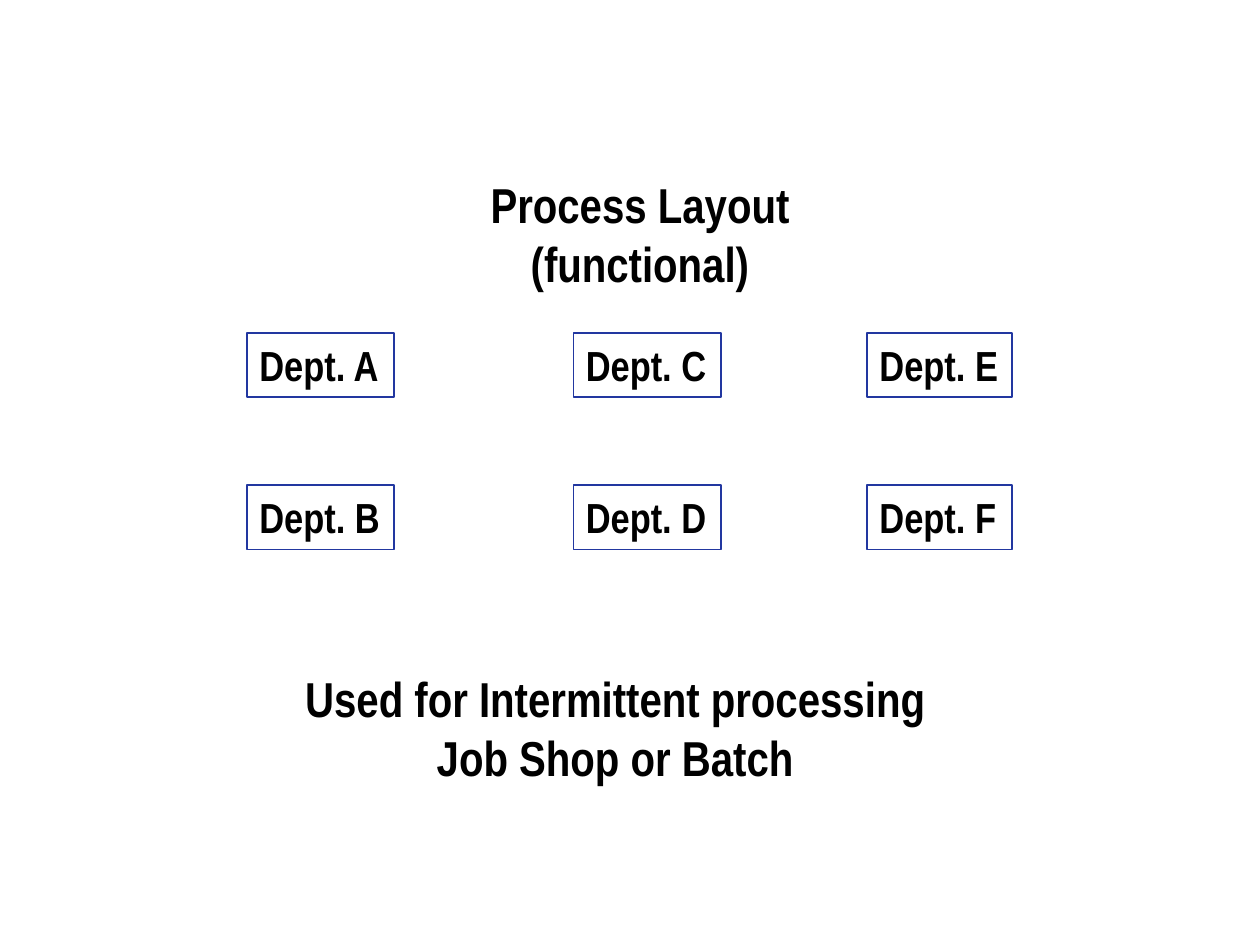
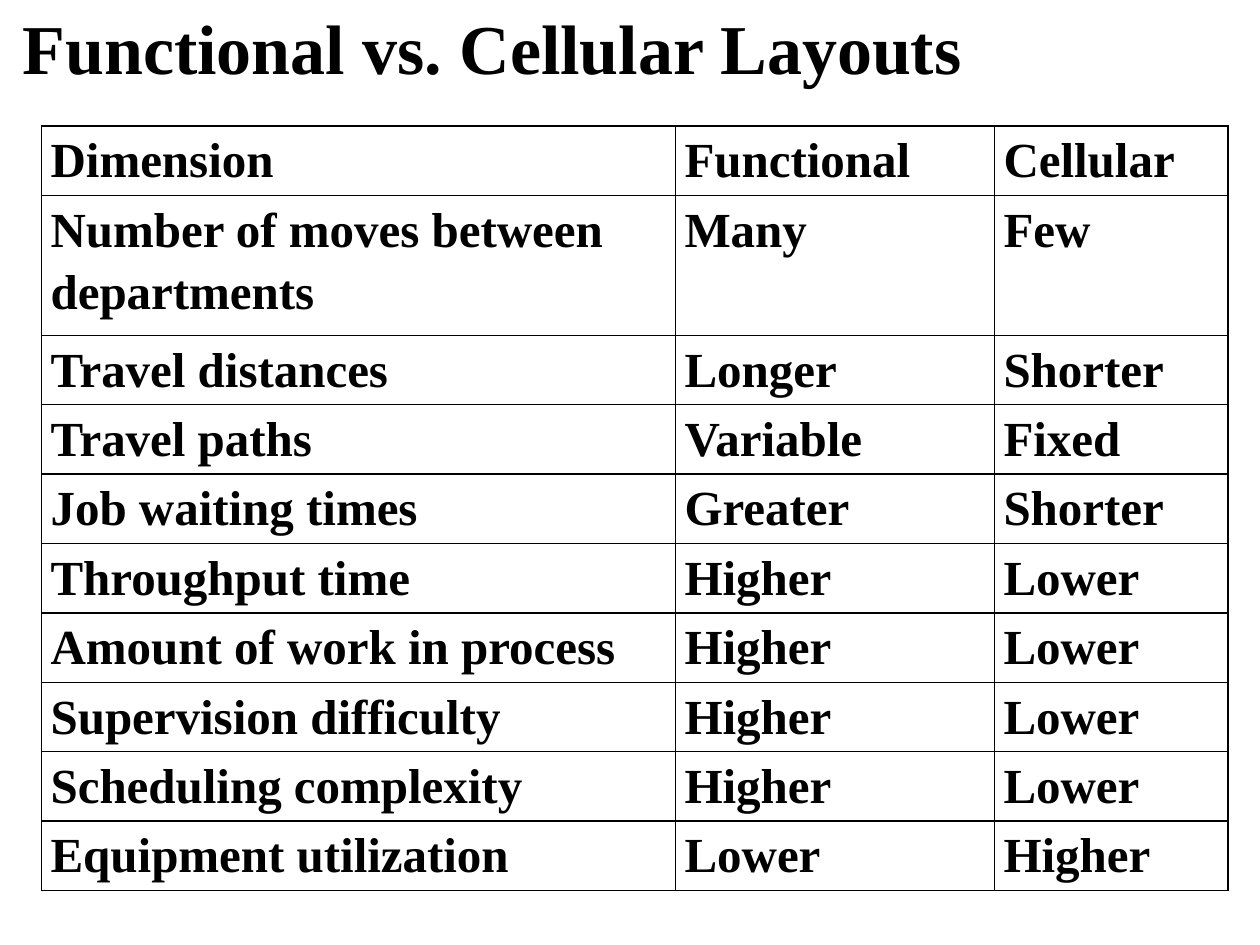
from lxml.etree import SubElement
from pptx import Presentation
from pptx.dml.color import RGBColor
from pptx.enum.shapes import MSO_SHAPE as Shape
from pptx.enum.text import MSO_ANCHOR as Anchor, MSO_AUTO_SIZE as AutoSize, PP_ALIGN as Align
from pptx.oxml.ns import qn
from pptx.util import Cm, Pt

COLOURS = {"text": "000000", "outline": "2237A0", "grid": "000000"}
SANS = "Arial Narrow"
SERIF = "Times New Roman"
TITLE_ONLY = 5

# Department boxes: (left, width, upper label, lower label) per column
DEPARTMENTS = [
    (4.98, 2.97, "Dept. A", "Dept. B"),
    (11.56, 2.97, "Dept. C", "Dept. D"),
    (17.48, 2.92, "Dept. E", "Dept. F"),
]
DEPARTMENT_TOPS = (6.71, 9.78)

COMPARISON = [
    ("Dimension", "Functional", "Cellular"),
    ("Number of moves between departments", "Many", "Few"),
    ("Travel distances", "Longer", "Shorter"),
    ("Travel paths", "Variable", "Fixed"),
    ("Job waiting times", "Greater", "Shorter"),
    ("Throughput time", "Higher", "Lower"),
    ("Amount of work in process", "Higher", "Lower"),
    ("Supervision difficulty", "Higher", "Lower"),
    ("Scheduling complexity", "Higher", "Lower"),
    ("Equipment utilization", "Lower", "Higher"),
]
COLUMN_WIDTHS = (12.78, 6.43, 4.7)
ROW_HEIGHT = 1.4
TWO_LINE_HEIGHT = 2.82


def colour(name):
    return RGBColor.from_string(COLOURS[name])


def write(frame, lines, font, size, align=Align.LEFT, spacing=None):
    """Fill a text frame with one bold paragraph per line."""
    frame.text = "\n".join(lines)
    for para in frame.paragraphs:
        para.alignment = align
        para.line_spacing = spacing
        para.font.name = font
        para.font.size = Pt(size)
        para.font.bold = True
        para.font.color.rgb = colour("text")


def fit(frame, wrap=True, anchor=Anchor.TOP):
    frame.word_wrap = wrap
    frame.auto_size = AutoSize.SHAPE_TO_FIT_TEXT
    frame.vertical_anchor = anchor


def add_title(page, place, lines, font, size, align, wrap=True, anchor=Anchor.TOP):
    title = page.shapes.title
    title.left, title.top, title.width, title.height = map(Cm, place)
    write(title.text_frame, lines, font, size, align)
    fit(title.text_frame, wrap, anchor)


def add_department(group, left, top, width, label):
    box = group.shapes.add_shape(Shape.RECTANGLE, Cm(left), Cm(top), Cm(width), Cm(1.3))
    box.shadow.inherit = False
    box.fill.background()
    box.line.color.rgb = colour("outline")
    box.line.width = Pt(1)
    write(box.text_frame, [label], SANS, 24)
    fit(box.text_frame, wrap=False)


def add_caption(page, place, lines):
    box = page.shapes.add_textbox(*map(Cm, place))
    write(box.text_frame, lines, SANS, 28, Align.CENTER)
    fit(box.text_frame)


def draw_borders(cell):
    properties = cell._tc.get_or_add_tcPr()
    for index, side in enumerate(("a:lnL", "a:lnR", "a:lnT", "a:lnB")):
        line = SubElement(properties, qn(side), w=str(Pt(1)))
        fill = SubElement(line, qn("a:solidFill"))
        SubElement(fill, qn("a:srgbClr"), val=COLOURS["grid"])
        properties.insert(index, line)  # borders come before the fill


def add_comparison(page, left, top):
    height = ROW_HEIGHT * (len(COMPARISON) - 1) + TWO_LINE_HEIGHT
    table = page.shapes.add_table(
        len(COMPARISON), len(COLUMN_WIDTHS),
        Cm(left), Cm(top), Cm(sum(COLUMN_WIDTHS)), Cm(height),
    ).table
    table.first_row = table.horz_banding = False
    for column, width in zip(table.columns, COLUMN_WIDTHS):
        column.width = Cm(width)
    for index, (row, words) in enumerate(zip(table.rows, COMPARISON)):
        row.height = Cm(TWO_LINE_HEIGHT if index == 1 else ROW_HEIGHT)
        for cell, word in zip(row.cells, words):
            cell.fill.background()
            cell.margin_left = cell.margin_right = Cm(0.18)
            cell.margin_top = cell.margin_bottom = 0
            write(cell.text_frame, [word], SERIF, 28, spacing=1.15)
            draw_borders(cell)


def build_process_layout(page):
    add_title(page, (9.6, 3.4, 6.6, 2.64), ["Process Layout", "(functional)"],
              SANS, 28, Align.CENTER, wrap=False)
    group = page.shapes.add_group_shape()
    for left, width, *labels in DEPARTMENTS:
        for top, label in zip(DEPARTMENT_TOPS, labels):
            add_department(group, left, top, width, label)
    add_caption(page, (4.88, 13.36, 15.04, 2.64),
                ["Used for Intermittent processing", "Job Shop or Batch"])


def build_layout_comparison(page):
    add_title(page, (0.2, -0.05, 24.33, 1.96), ["Functional vs. Cellular Layouts"],
              SERIF, 40, Align.LEFT, anchor=Anchor.MIDDLE)
    add_comparison(page, 0.84, 2.54)


def main():
    deck = Presentation()
    deck.slide_width, deck.slide_height = Cm(25.4), Cm(19.05)
    for build in (build_process_layout, build_layout_comparison):
        build(deck.slides.add_slide(deck.slide_layouts[TITLE_ONLY]))
    deck.save("out.pptx")


main()
